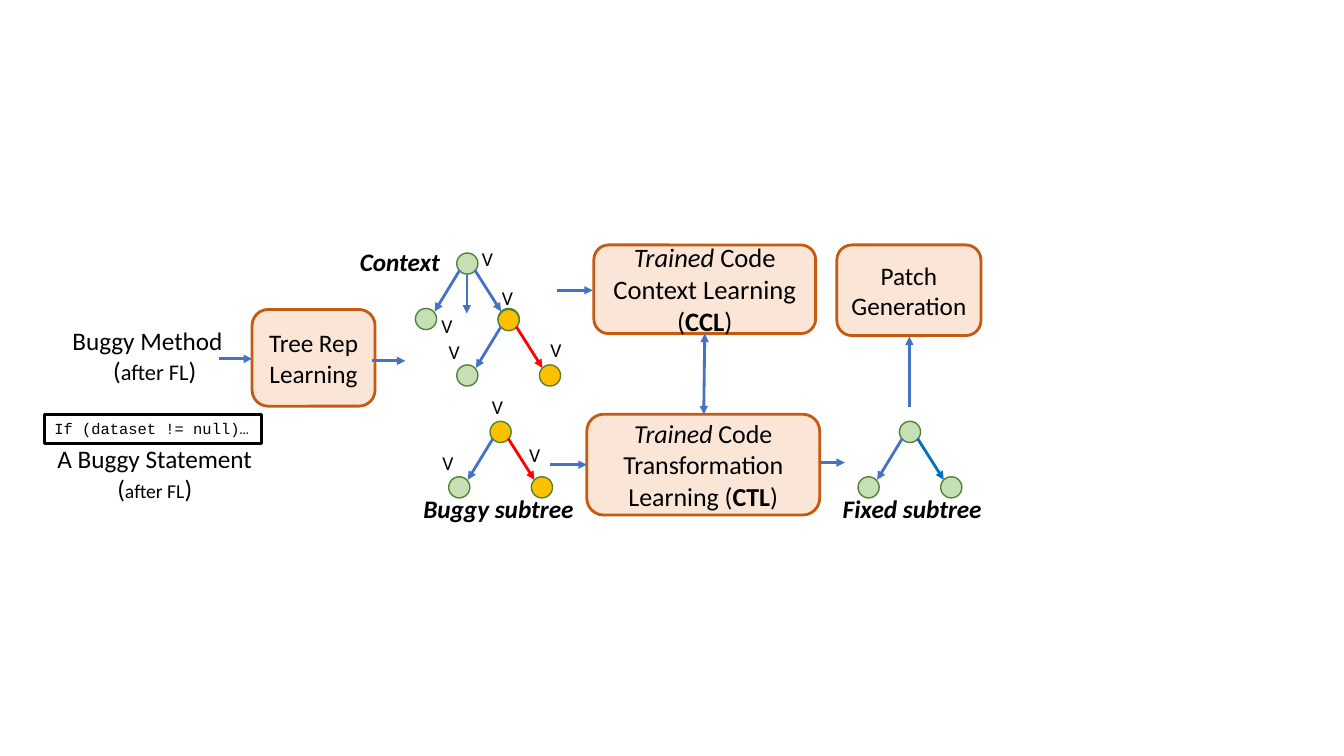
from lxml import etree
from pptx import Presentation
from pptx.dml.color import RGBColor
from pptx.enum.shapes import MSO_CONNECTOR, MSO_SHAPE
from pptx.enum.text import MSO_ANCHOR, PP_ALIGN
from pptx.oxml.ns import qn
from pptx.util import Inches, Pt

LINE = MSO_CONNECTOR.STRAIGHT
OVAL, RECT, ROUND = MSO_SHAPE.OVAL, MSO_SHAPE.RECTANGLE, MSO_SHAPE.ROUNDED_RECTANGLE
LEFT, MID = PP_ALIGN.LEFT, PP_ALIGN.CENTER
TOP, CORE = MSO_ANCHOR.TOP, MSO_ANCHOR.MIDDLE

BLUE, RED, TEAL = "4472C4", "FF0000", "0070C0"
GREEN, GOLD, RIM = "C5E0B4", "FFC000", "548235"
PEACH, RUST, BLACK = "FBE5D6", "C55A11", "000000"


def tint(code):
    return RGBColor.from_string(code)


def put(par, text, size=18, face="Calibri", bold=False, slant=False):
    run = par.add_run()
    run.text = text
    font = run.font
    font.size, font.name = Pt(size), face
    font.bold, font.italic = bold, slant
    font.color.rgb = tint(BLACK)


class Board:
    def __init__(self, slide):
        self.items = slide.shapes

    def fill(self, frame, rows, aligns, anchor=TOP, **style):
        frame.word_wrap = True
        frame.vertical_anchor = anchor
        for i, (row, align) in enumerate(zip(rows, aligns)):
            par = frame.paragraphs[0] if i == 0 else frame.add_paragraph()
            par.alignment = align
            for text, extra in row:
                put(par, text, **{**style, **extra})

    def shape(self, kind, x, y, w, h, fill, edge, width):
        item = self.items.add_shape(kind, Inches(x), Inches(y), Inches(w), Inches(h))
        item.shadow.inherit = False
        if fill:
            item.fill.solid()
            item.fill.fore_color.rgb = tint(fill)
        else:
            item.fill.background()
        item.line.color.rgb = tint(edge)
        item.line.width = Pt(width)
        return item

    def box(self, x, y, w, h, rows, size=18):
        item = self.shape(ROUND, x, y, w, h, PEACH, RUST, 2)
        self.fill(item.text_frame, rows, [MID] * len(rows), CORE, size=size)

    def code(self, x, y, w, h, text):
        item = self.shape(RECT, x, y, w, h, None, BLACK, 2)
        self.fill(item.text_frame, [[(text, {})]], [LEFT], size=11, face="Courier New")

    def label(self, x, y, w, h, rows, aligns=(LEFT,), **style):
        item = self.items.add_textbox(Inches(x), Inches(y), Inches(w), Inches(h))
        self.fill(item.text_frame, rows, aligns, **style)

    def node(self, x, y, fill):
        self.shape(OVAL, x, y, 0.21, 0.21, fill, RIM, 1)

    def arrow(self, x1, y1, x2, y2, color=BLUE, width=2, both=False):
        item = self.items.add_connector(LINE, Inches(x1), Inches(y1), Inches(x2), Inches(y2))
        item.line.color.rgb = tint(color)
        item.line.width = Pt(width)
        pen = item.line._get_or_add_ln()
        for end in ["headEnd"] * both + ["tailEnd"]:
            etree.SubElement(pen, qn("a:" + end), type="triangle")
        etree.SubElement(item._element.spPr, qn("a:effectLst"))

    def tree(self, x, y, root, right, edge=BLUE):
        self.node(x, y, root)
        self.node(x - 0.41, y + 0.55, GREEN)
        self.node(x + 0.41, y + 0.55, right)
        self.arrow(x + 0.03, y + 0.17, x - 0.22, y + 0.58)
        self.arrow(x + 0.18, y + 0.17, x + 0.44, y + 0.58, edge)


def main():
    deck = Presentation()
    deck.slide_width, deck.slide_height = Inches(13.33), Inches(7.5)
    board = Board(deck.slides.add_slide(deck.slide_layouts[6]))
    bold, slant = {"bold": True}, {"slant": True}

    board.tree(4.53, 2.51, GREEN, GOLD)
    board.arrow(4.63, 2.72, 4.63, 3.11, width=1)
    board.tree(4.94, 3.07, GOLD, GOLD, RED)
    board.tree(4.86, 4.18, GOLD, GOLD, RED)
    board.tree(8.92, 4.18, GREEN, GREEN, TEAL)

    for x, y, w, h, rows, size in [
        (2.5, 3.07, 1.22, 0.96, [[("Tree Rep Learning", {})]], 18),
        (5.89, 2.43, 2.2, 0.88, [
            [("Trained", slant), (" Code Context Learning", {})],
            [("(", {}), ("CCL", bold), (")", {})]], 19),
        (5.82, 4.11, 2.31, 1, [
            [("Trained", slant), (" Code Transformation Learning (", {}),
             ("CTL", bold), (")", {})]], 18.5),
        (8.3, 2.43, 1.43, 0.9, [[("Patch Generation", {})]], 18),
    ]:
        board.box(x, y, w, h, rows, size)

    for ends in [
        (2.17, 3.56, 2.5, 3.56),
        (3.69, 3.58, 4.02, 3.58),
        (5.52, 2.88, 5.88, 2.88),
        (5.46, 4.61, 5.82, 4.61),
        (8.14, 4.59, 8.38, 4.59),
        (9.02, 4.04, 9.02, 3.34),
    ]:
        board.arrow(*ends)
    board.arrow(6.99, 3.31, 6.98, 4.11, both=True)

    for x, y, w, text in [
        (3.47, 2.39, 1.05, "Context"),
        (4.1, 4.84, 1.79, "Buggy subtree"),
        (8.26, 4.84, 1.62, "Fixed subtree"),
    ]:
        board.label(x, y, w, 0.4, [[(text, {})]], bold=True, slant=True)

    board.code(0.44, 4.11, 2.15, 0.29, "If (dataset != null)…")
    for x, y, w, text, size, first in [
        (0.62, 3.18, 1.83, "Buggy Method", 16, LEFT),
        (0.13, 4.35, 2.81, "A Buggy Statement", 14, MID),
    ]:
        note = [("(", {}), ("after FL", {"size": size}), (")", {})]
        board.label(x, y, w, 0.71, [[(text, {})], note], (first, MID))

    for x, y in [(4.68, 2.4), (4.28, 3.07), (4.88, 2.79), (4.35, 3.32),
                 (5.36, 3.3), (4.78, 3.87), (4.29, 4.42), (5.15, 4.34)]:
        board.label(x, y, 0.55, 0.34, [[("V", {})]], size=14)

    deck.save("out.pptx")


if __name__ == "__main__":
    main()
